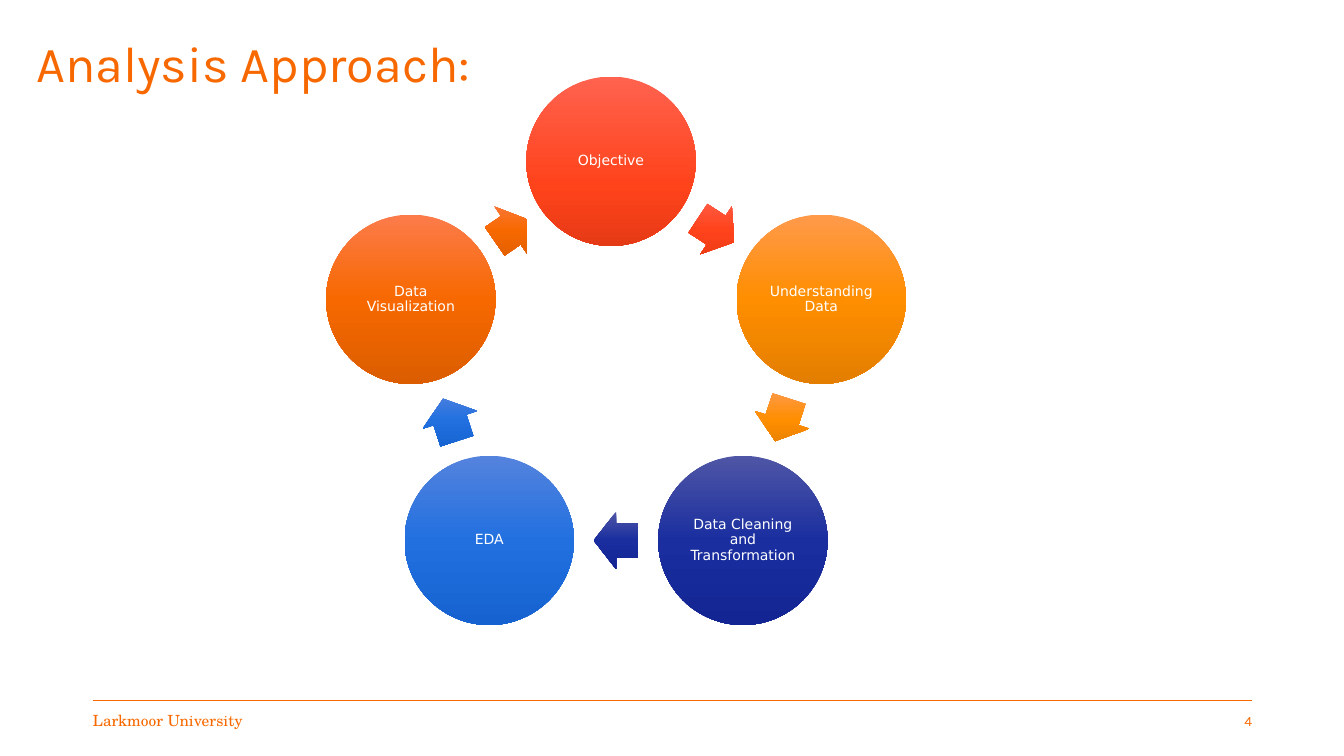
from copy import deepcopy
from math import atan2, cos, degrees, hypot, radians, sin

from pptx import Presentation
from pptx.dml.color import RGBColor
from pptx.enum.shapes import MSO_CONNECTOR, MSO_SHAPE
from pptx.enum.text import MSO_ANCHOR, PP_ALIGN
from pptx.oxml.ns import qn
from pptx.oxml.xmlchemy import OxmlElement
from pptx.util import Inches, Pt

OVAL, ARROW = MSO_SHAPE.OVAL, MSO_SHAPE.RIGHT_ARROW
LEFT, CENTER, RIGHT = PP_ALIGN.LEFT, PP_ALIGN.CENTER, PP_ALIGN.RIGHT
MIDDLE = MSO_ANCHOR.MIDDLE
STRAIGHT = MSO_CONNECTOR.STRAIGHT

TITLE = "Analysis Approach:"
FOOTER = "Larkmoor University"
PAGE = "4"
STEPS = [
    ("Objective", ("FF624F", "FF431B", "E53A16"), 0.65),
    ("Understanding Data", ("FF9A4B", "FF8E00", "E37E00"), 0.5),
    ("Data Cleaning and Transformation", ("4F56A6", "1A2E9F", "122593"), 0.5),
    ("EDA", ("5483DD", "2270E0", "1562D0"), 0.5),
    ("Data Visualization", ("FC7B4B", "F76900", "DB5D00"), 0.5),
]
THEME = {
    "accent": "F76900", "on_fill": "FFFFFF",
    "title": ("Karla", 36), "footer": ("TeX Gyre Schola", 11),
    "page": ("Karla", 10), "step": ("DejaVu Sans", 10),
}

CYCLE_X, CYCLE_Y, CYCLE_R = 6.11, 3.63, 2.14
TOP_SHIFT = (-0.05, 0.11)
CIRCLE = 1.68
ARROW_H, ARROW_SHARE = 0.57, 0.53
MARGIN_L, MARGIN_R, FOOTER_Y = 0.92, 12.42, 6.95
FOOTER_W, FOOTER_H = 2.1, 0.4


def write(shape, text, style, color, align, inset_x, inset_y, spacing=1.0, wrap=True):
    tf = shape.text_frame
    tf.word_wrap = wrap
    tf.vertical_anchor = MIDDLE
    tf.margin_left = tf.margin_right = Inches(inset_x)
    tf.margin_top = tf.margin_bottom = Inches(inset_y)
    p = tf.paragraphs[0]
    p.text = text
    p.alignment = align
    p.line_spacing = spacing
    name, size = THEME[style]
    p.font.name = name
    p.font.size = Pt(size)
    p.font.color.rgb = RGBColor.from_string(THEME[color])


def add_label(slide, box, text, style, align, **layout):
    s = slide.shapes.add_textbox(*map(Inches, box))
    write(s, text, style, "accent", align, 0, 0.05, **layout)


def add_centered(slide, kind, x, y, w, h, colors, middle):
    s = slide.shapes.add_shape(
        kind, Inches(x - w / 2), Inches(y - h / 2), Inches(w), Inches(h))
    s.shadow.inherit = False
    s.line.fill.background()
    s.fill.gradient()
    s.fill.gradient_angle = 270
    grad = s._element.spPr.find(qn("a:gradFill"))
    grad.set("rotWithShape", "0")
    stop_list = grad.find(qn("a:gsLst"))
    stop_list.insert(1, deepcopy(stop_list[0]))
    for stop, color, position in zip(s.fill.gradient_stops, colors, (0, middle, 1)):
        stop.color.rgb = RGBColor.from_string(color)
        stop.position = position
    return s


def cycle_centers():
    centers = []
    for i in range(len(STEPS)):
        angle = radians(360 * i / len(STEPS) - 90)
        centers.append((CYCLE_X + CYCLE_R * cos(angle), CYCLE_Y + CYCLE_R * sin(angle)))
    x, y = centers[0]
    centers[0] = (x + TOP_SHIFT[0], y + TOP_SHIFT[1])
    return centers


def add_cycle(slide):
    centers = cycle_centers()
    for i, (text, colors, middle) in enumerate(STEPS):
        x, y = centers[i]
        circle = add_centered(slide, OVAL, x, y, CIRCLE, CIRCLE, colors, middle)
        write(circle, text, "step", "on_fill", CENTER, 0.01, 0.01, spacing=0.9)

        next_x, next_y = centers[(i + 1) % len(centers)]
        dx, dy = next_x - x, next_y - y
        length = ARROW_SHARE * (hypot(dx, dy) - CIRCLE)
        arrow = add_centered(
            slide, ARROW, x + dx / 2, y + dy / 2, length, ARROW_H, colors, 0.5)
        arrow.adjustments[0] = 0.6
        arrow.adjustments[1] = 0.5
        arrow.rotation = degrees(atan2(dy, dx)) % 360


def add_footer(slide):
    rule = slide.shapes.add_connector(
        STRAIGHT, Inches(MARGIN_L), Inches(FOOTER_Y), Inches(MARGIN_R), Inches(FOOTER_Y))
    rule.line.color.rgb = RGBColor.from_string(THEME["accent"])
    rule.line.width = Pt(0.5)
    rule._element.spPr.append(OxmlElement("a:effectLst"))
    for left, text, style, align in (
        (MARGIN_L, FOOTER, "footer", LEFT),
        (MARGIN_R - FOOTER_W, PAGE, "page", RIGHT),
    ):
        add_label(slide, (left, FOOTER_Y, FOOTER_W, FOOTER_H), text, style, align,
                  wrap=style == "page")


def main():
    prs = Presentation()
    prs.slide_width, prs.slide_height = Inches(13.33), Inches(7.5)
    slide = prs.slides.add_slide(prs.slide_layouts[6])
    add_footer(slide)
    add_label(slide, (0.36, -0.07, 11.5, 1.45), TITLE, "title", LEFT, spacing=0.9)
    add_cycle(slide)
    prs.save("out.pptx")


if __name__ == "__main__":
    main()
